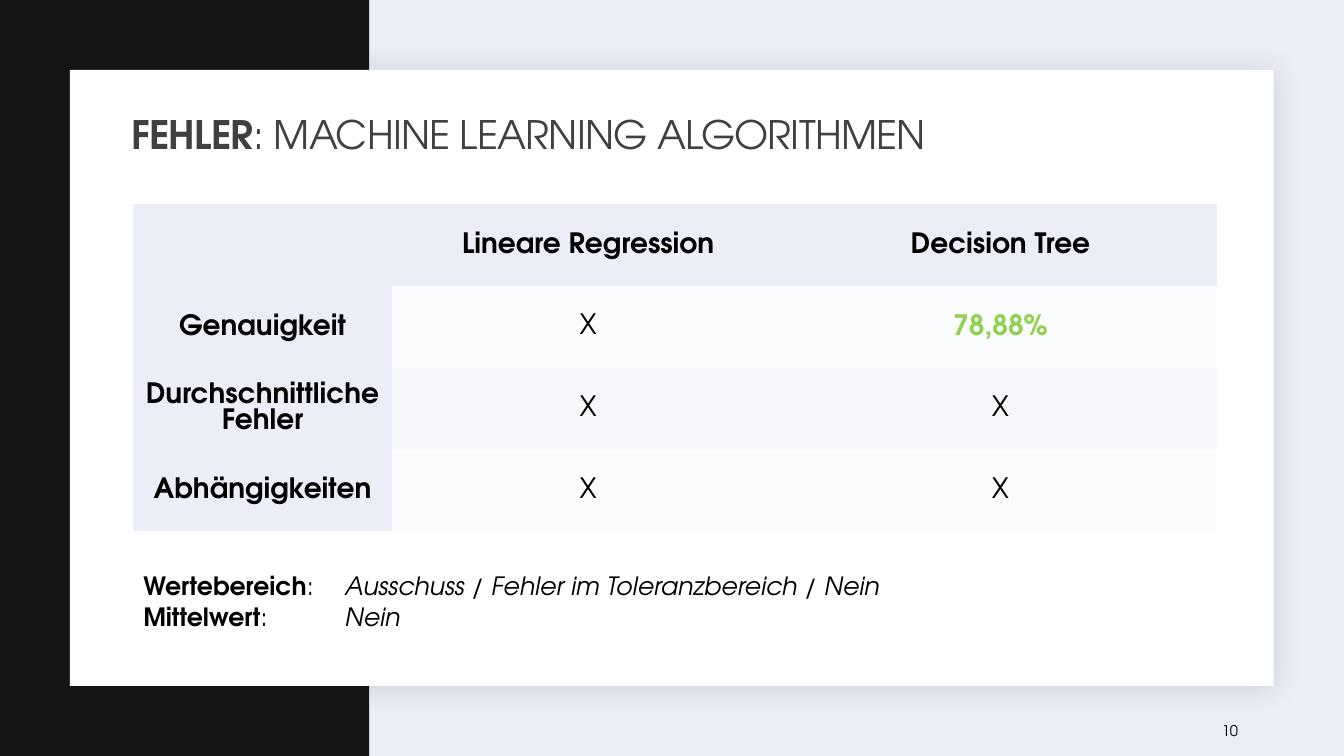
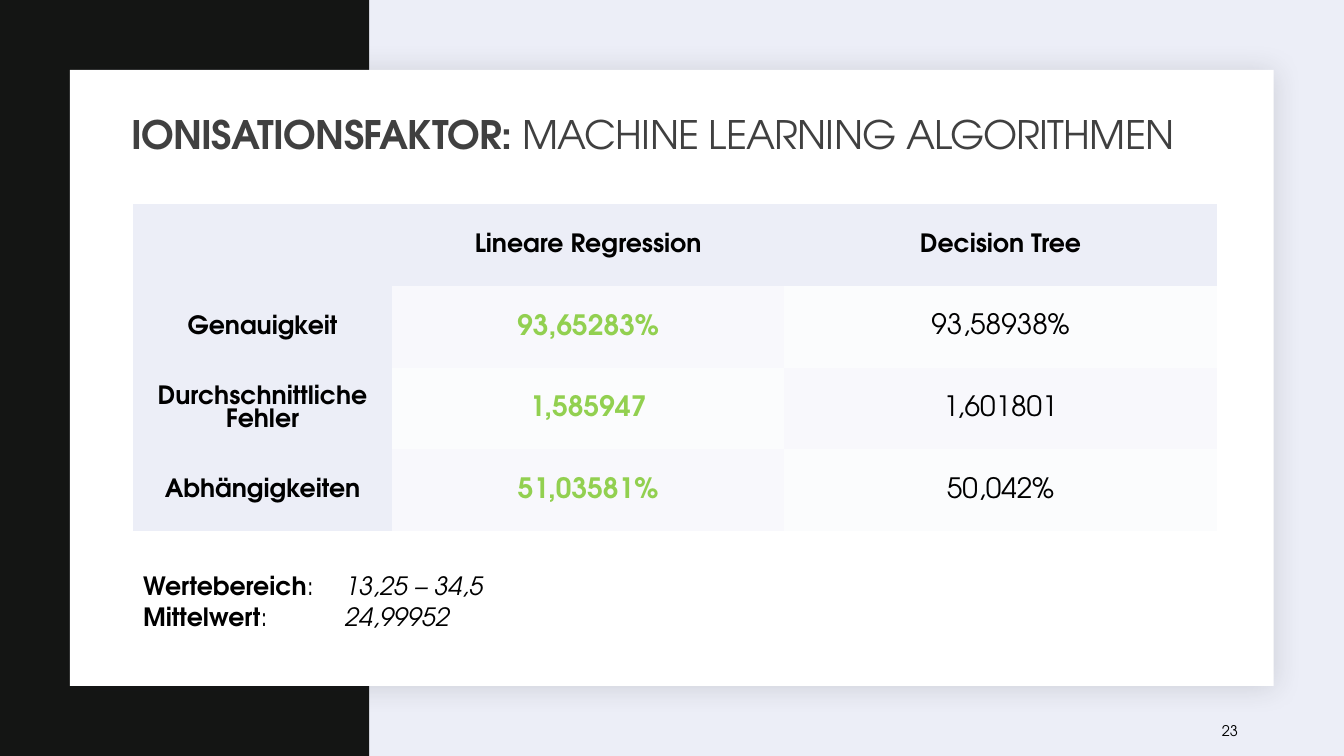
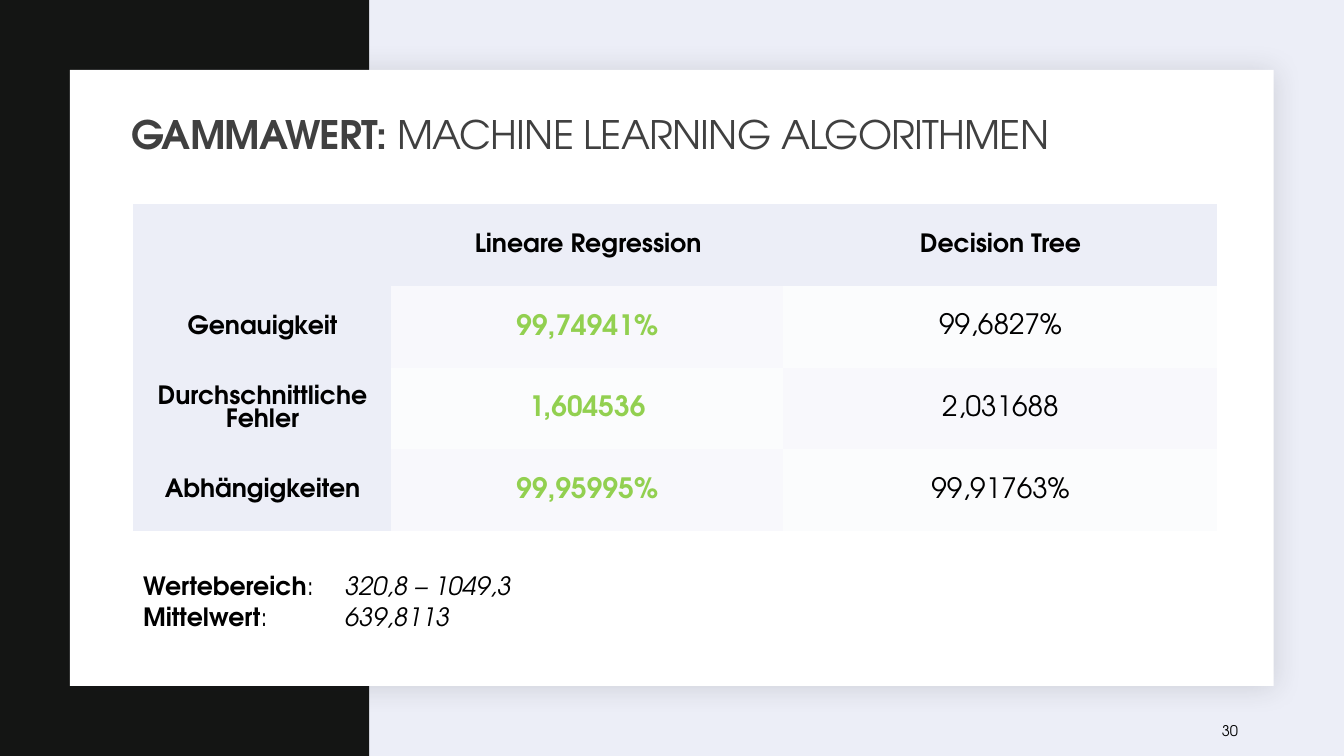
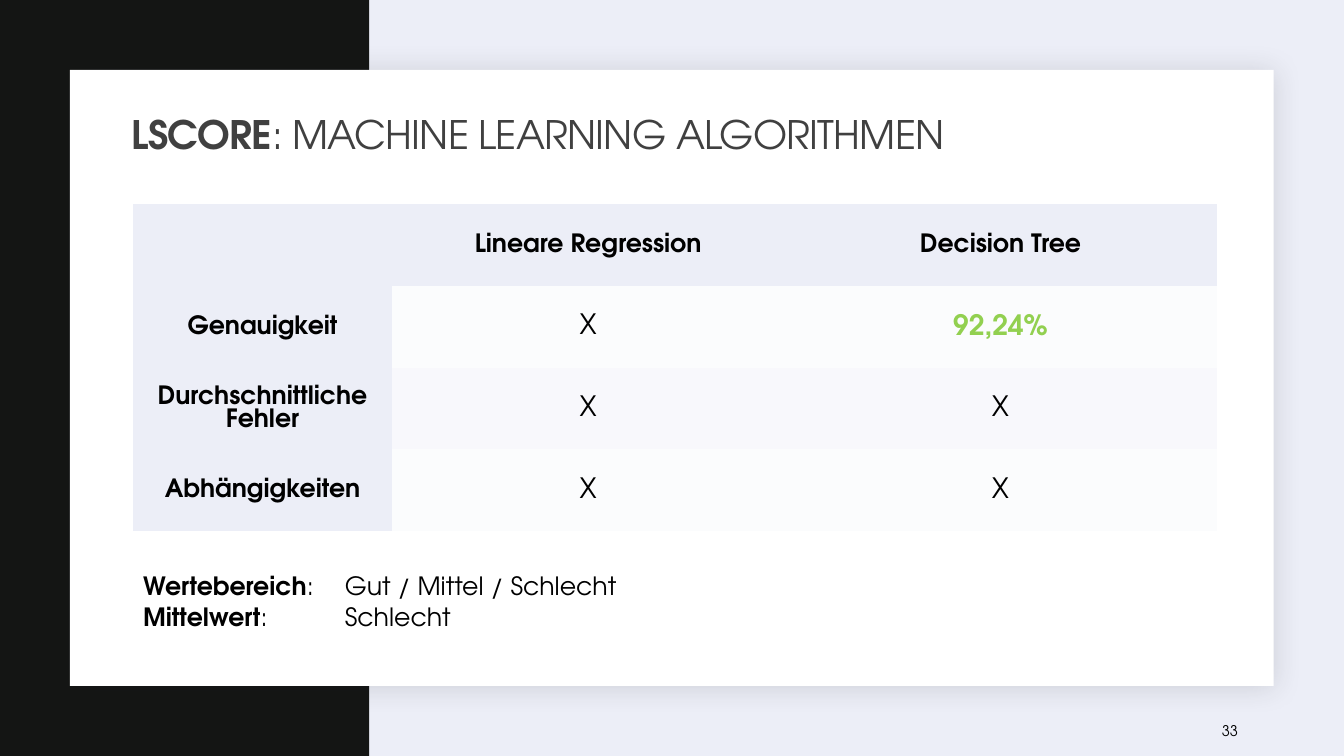
"""Builds four result slides that compare two machine learning algorithms."""
from lxml.etree import SubElement
from pptx import Presentation
from pptx.dml.color import RGBColor
from pptx.enum.shapes import MSO_SHAPE
from pptx.enum.text import MSO_ANCHOR, MSO_AUTO_SIZE, PP_ALIGN
from pptx.oxml.ns import qn
from pptx.util import Inches, Pt

FONT = "TeX Gyre Adventor"
LAVENDER = RGBColor(0xEC, 0xEE, 0xF7)
INK = RGBColor(0x14, 0x15, 0x14)
WHITE = RGBColor(0xFF, 0xFF, 0xFF)
BLACK = RGBColor(0x00, 0x00, 0x00)
GRAPHITE = RGBColor(0x40, 0x40, 0x40)
GREEN = RGBColor(0x92, 0xD0, 0x50)
STRIPES = (RGBColor(0xFB, 0xFC, 0xFD), RGBColor(0xF8, 0xF8, 0xFC))

NO_TABLE_STYLE = "{2D5ABB26-0587-4C30-8999-92F81FD0307C}"
TABLE_LEFT = 9.9
TABLE_TOP = 27.03
LABEL_WIDTH = 19.28
ALGORITHMS = {"Lineare Regression": 29.18, "Decision Tree": 32.18}
MEASURES = ("Genauigkeit", "Durchschnittliche Fehler", "Abhängigkeiten")
ROW_HEIGHT = 10.8
CELL_FORMAT = {"vertical_anchor": MSO_ANCHOR.MIDDLE, "margin_left": Inches(0.01),
               "margin_right": Inches(0.01), "margin_top": Inches(0.01), "margin_bottom": 0}

RESULTS = [
    {"number": "10", "heading": ("FEHLER", ": MACHINE LEARNING ALGORITHMEN"),
     "values": (("X", "78,88%"), ("X", "X"), ("X", "X")), "label_size": 20,
     "facts": ("Ausschuss / Fehler im Toleranzbereich / Nein", "Nein"), "facts_width": 60.45},
    {"number": "23", "heading": ("IONISATIONSFAKTOR: ", "MACHINE LEARNING ALGORITHMEN"),
     "values": (("93,65283%", "93,58938%"), ("1,585947", "1,601801"), ("51,03581%", "50,042%")),
     "winner_left": 29.18, "facts": ("13,25 – 34,5", "24,99952"), "facts_width": 32.4},
    {"number": "30", "heading": ("GAMMAWERT: ", "MACHINE LEARNING ALGORITHMEN"),
     "values": (("99,74941%", "99,6827%"), ("1,604536", "2,031688"), ("99,95995%", "99,91763%")),
     "winner_left": 29.11, "facts": ("320,8 – 1049,3", "639,8113"), "facts_width": 32.4},
    {"number": "33", "heading": ("LSCORE", ": MACHINE LEARNING ALGORITHMEN"),
     "values": (("X", "92,24%"), ("X", "X"), ("X", "X")),
     "facts": ("Gut / Mittel / Schlecht", "Schlecht"), "facts_width": 40.05, "italic": False},
]


def apply(target, values):
    for name, value in values.items():
        setattr(target, name, value)


class Deck:
    """Holds the shared style and the current slide; lengths are percent of the slide."""

    def __init__(self):
        self.show = Presentation()
        apply(self.show, {"slide_width": Inches(13.33), "slide_height": Inches(7.5)})
        self.layout = self.show.slide_layouts.get_by_name("Title Only")
        self.slide = None

    def across(self, share):
        return round(self.show.slide_width * share / 100)

    def down(self, share):
        return round(self.show.slide_height * share / 100)

    def area(self, left, top, width, height):
        return self.across(left), self.down(top), self.across(width), self.down(height)

    def add_slide(self):
        self.slide = self.show.slides.add_slide(self.layout)

    def run(self, paragraph, text, size, color=BLACK, **looks):
        run = paragraph.add_run()
        run.text = text
        apply(run.font, {"name": FONT, "size": Pt(size), **looks})
        run.font.color.rgb = color
        return run

    def block(self, color, *area):
        block = self.slide.shapes.add_shape(MSO_SHAPE.RECTANGLE, *self.area(*area))
        block.shadow.inherit = False
        block.fill.solid()
        block.fill.fore_color.rgb = color
        block.line.fill.background()
        return block

    def backdrop(self):
        background = self.layout.background.fill
        background.solid()
        background.fore_color.rgb = LAVENDER
        band = self.block(INK, 0, 0, 27.48, 100)
        panel = self.block(WHITE, 5.2, 9.25, 89.57, 81.47)
        effects = panel._element.spPr.find(qn("a:effectLst"))
        shadow = SubElement(effects, qn("a:outerShdw"), blurRad=str(Pt(20)), dist=str(Pt(2)),
                            dir="2700000", algn="tl", rotWithShape="0")
        tint = SubElement(shadow, qn("a:srgbClr"), val="1F2125")
        SubElement(tint, qn("a:alpha"), val="15000")
        for order, part in enumerate((band, panel)):
            part._element.nvSpPr.cNvPr.set("id", str(20 + order))
            self.layout.shapes._spTree.insert(2 + order, part._element)

    def heading(self, topic, rest):
        title = self.slide.shapes.title
        left, top, width, height = self.area(9, 13.8, 82.5, 8.53)
        apply(title, {"left": left, "top": top, "width": width, "height": height})
        apply(title.text_frame, {"vertical_anchor": MSO_ANCHOR.MIDDLE, "word_wrap": True,
                                 "auto_size": MSO_AUTO_SIZE.NONE})
        line = title.text_frame.paragraphs[0]
        apply(line, {"alignment": PP_ALIGN.LEFT, "line_spacing": 0.9})
        for text, bold in ((topic, True), (rest, False)):
            run = self.run(line, text, 28, GRAPHITE, bold=bold)
            run.font._element.set("spc", "-50")

    def text_box(self, area, **frame_format):
        frame = self.slide.shapes.add_textbox(*self.area(*area)).text_frame
        apply(frame, {"word_wrap": True, **frame_format})
        return frame

    def page_number(self, number):
        frame = self.text_box((90.17, 94, 6.38, 5.33), vertical_anchor=MSO_ANCHOR.MIDDLE)
        self.run(frame.paragraphs[0], number, 10.5)

    def cell(self, cell, fill, text="", size=20, color=BLACK, bold=True):
        apply(cell, CELL_FORMAT)
        cell.fill.solid()
        cell.fill.fore_color.rgb = fill
        line = cell.text_frame.paragraphs[0]
        line.alignment = PP_ALIGN.CENTER
        if text:
            self.run(line, text, size, color, bold=bold)

    def table(self, left, top, widths, rows):
        table = self.slide.shapes.add_table(
            rows, len(widths), *self.area(left, top, sum(widths), rows * ROW_HEIGHT)).table
        apply(table, {"first_row": False, "horz_banding": False})
        table._tbl.tblPr.find(qn("a:tableStyleId")).text = NO_TABLE_STYLE
        for column, width in zip(table.columns, widths):
            column.width = self.across(width)
        return table

    def comparison(self, values, label_size, marks_best):
        table = self.table(TABLE_LEFT, TABLE_TOP, (LABEL_WIDTH, *ALGORITHMS.values()),
                           len(MEASURES) + 1)
        for column, label in enumerate(("", *ALGORITHMS)):
            self.cell(table.cell(0, column), LAVENDER, label, label_size)
        for row, (measure, scores) in enumerate(zip(MEASURES, values), 1):
            self.cell(table.cell(row, 0), LAVENDER, measure, label_size)
            for column, score in enumerate(scores, 1):
                best = marks_best and score != "X"
                self.cell(table.cell(row, column), STRIPES[(row - 1) % 2], score,
                          color=GREEN if best else BLACK, bold=best)

    def winner(self, left, scores):
        table = self.table(left, TABLE_TOP + ROW_HEIGHT, (ALGORITHMS["Lineare Regression"],),
                           len(scores))
        for row, score in enumerate(scores):
            self.cell(table.cell(row, 0), STRIPES[(row + 1) % 2], score, color=GREEN)

    def facts(self, values, width, italic):
        frame = self.text_box((9.92, 74.85, width, 9.47), auto_size=MSO_AUTO_SIZE.SHAPE_TO_FIT_TEXT)
        for order, (term, value) in enumerate(zip(("Wertebereich", "Mittelwert"), values)):
            line = frame.add_paragraph() if order else frame.paragraphs[0]
            stops = SubElement(line._p.get_or_add_pPr(), qn("a:tabLst"))
            SubElement(stops, qn("a:tab"), pos=str(Inches(2)), algn="l")
            self.run(line, term, 18, bold=True)
            self.run(line, ":\t", 18, bold=False)
            self.run(line, value, 18, bold=False, italic=italic)


def main():
    deck = Deck()
    for order, result in enumerate(RESULTS):
        deck.add_slide()
        if order == 0:
            deck.backdrop()
        winner_left = result.get("winner_left")
        deck.heading(*result["heading"])
        deck.comparison(result["values"], result.get("label_size", 18), winner_left is None)
        if winner_left is not None:
            deck.winner(winner_left, [scores[0] for scores in result["values"]])
        deck.facts(result["facts"], result["facts_width"], result.get("italic", True))
        deck.page_number(result["number"])
    deck.show.save("out.pptx")


if __name__ == "__main__":
    main()
